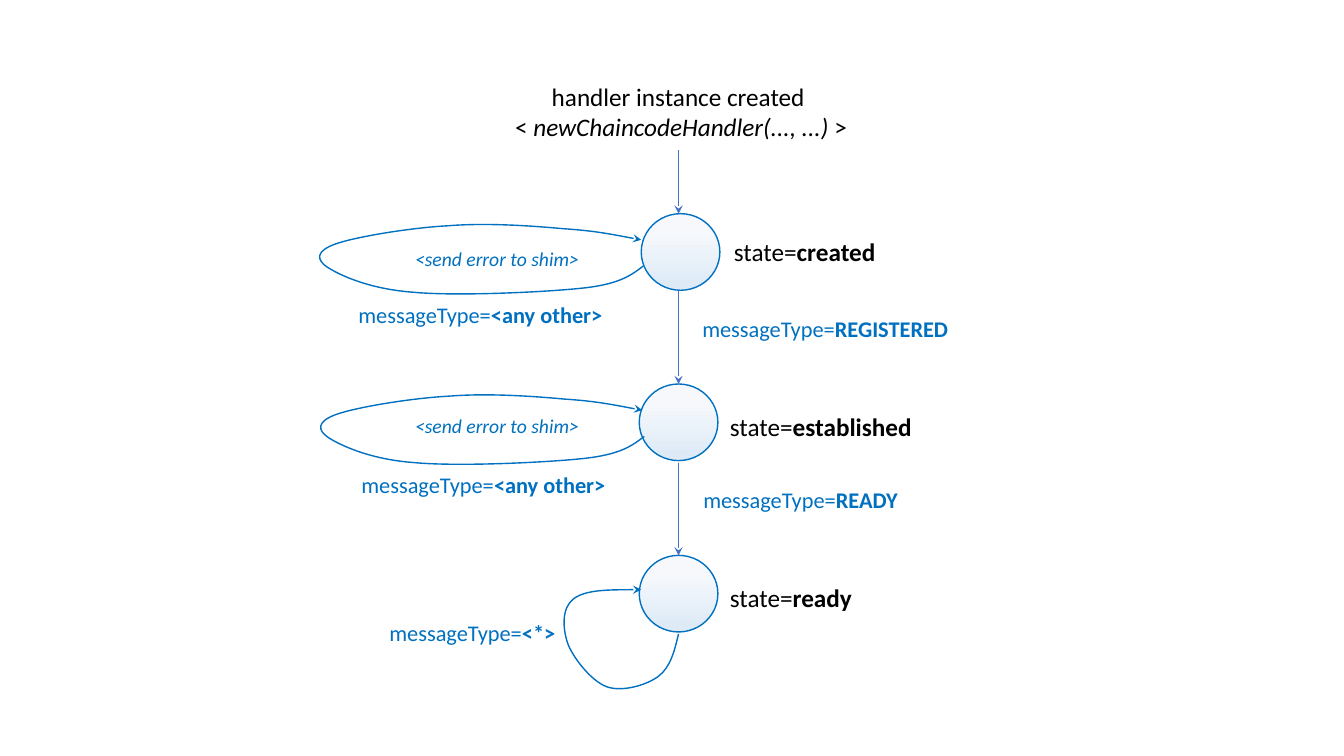
from lxml.etree import SubElement
from pptx import Presentation
from pptx.dml.color import RGBColor
from pptx.enum.shapes import MSO_CONNECTOR, MSO_SHAPE
from pptx.enum.text import MSO_AUTO_SIZE, PP_ALIGN
from pptx.oxml.ns import qn
from pptx.util import Inches, Pt

BLACK, BLUE, ARROW_BLUE = "000000", "0070C0", "4472C4"
AXIS_X = 6.73

# Each loop is a start point followed by Bezier triples (two controls, one end).
ERROR_LOOP = [
    (6.38, 2.64),
    (6.26, 2.73), (6.15, 2.82), (5.77, 2.86),
    (5.39, 2.90), (4.52, 2.94), (4.10, 2.90),
    (3.68, 2.87), (3.39, 2.74), (3.26, 2.66),
    (3.13, 2.58), (3.13, 2.49), (3.33, 2.42),
    (3.53, 2.35), (4.07, 2.26), (4.45, 2.24),
    (4.82, 2.21), (5.27, 2.24), (5.59, 2.27),
    (5.91, 2.29), (6.14, 2.34), (6.36, 2.38),
]
READY_LOOP = [
    (6.73, 6.29),
    (6.69, 6.46), (6.65, 6.62), (6.53, 6.71),
    (6.41, 6.80), (6.16, 6.87), (6.01, 6.81),
    (5.86, 6.75), (5.68, 6.52), (5.63, 6.38),
    (5.58, 6.23), (5.57, 6.03), (5.69, 5.94),
    (5.81, 5.85), (6.08, 5.85), (6.36, 5.85),
]


def color(hex_string):
    return RGBColor.from_string(hex_string)


class Diagram:
    """Holds the slide and the style of a state diagram."""

    font_name = "Calibri"

    def __init__(self, slide):
        self.slide = slide

    def text(self, left, top, width, height, paragraphs, size, hex_color, centered=True, wrap=True):
        """Add a text box; a paragraph is a list of (text, style) with style "", "b" or "i"."""
        box = self.slide.shapes.add_textbox(Inches(left), Inches(top), Inches(width), Inches(height))
        frame = box.text_frame
        frame.word_wrap = wrap
        frame.auto_size = MSO_AUTO_SIZE.SHAPE_TO_FIT_TEXT
        for index, pieces in enumerate(paragraphs):
            paragraph = frame.add_paragraph() if index else frame.paragraphs[0]
            paragraph.alignment = PP_ALIGN.CENTER if centered else PP_ALIGN.LEFT
            for content, style in pieces:
                run = paragraph.add_run()
                run.text = content
                run.font.name = self.font_name
                run.font.size = Pt(size)
                run.font.color.rgb = color(hex_color)
                run.font.bold = style == "b"
                run.font.italic = style == "i"

    def message(self, left, top, width, message_type):
        self.text(left, top, width, 0.37, [[("messageType=", ""), (message_type, "b")]], 16, BLUE)

    def state(self, left, top, label_left, label_top, label_width, name):
        circle = self.slide.shapes.add_shape(
            MSO_SHAPE.OVAL, Inches(left), Inches(top), Inches(0.78), Inches(0.76))
        circle.shadow.inherit = False
        circle.fill.gradient()
        circle.fill.gradient_angle = 270
        for stop, (position, hex_color) in zip(
                circle.fill.gradient_stops, [(0.24, "F6F8FC"), (0.92, "DEEBF7")]):
            stop.position = position
            stop.color.rgb = color(hex_color)
        circle.line.color.rgb = color(BLUE)
        circle.line.width = Pt(1)
        self.text(label_left, label_top, label_width, 0.4,
                  [[("state=", ""), (name, "b")]], 18, BLACK, centered=False, wrap=False)

    def arrow_line(self, line, hex_color, width):
        """Style a line and give its end a stealth arrowhead."""
        line.color.rgb = color(hex_color)
        line.width = Pt(width)
        SubElement(line._get_or_add_ln(), qn("a:tailEnd"), type="stealth")

    def down_arrow(self, top, bottom):
        connector = self.slide.shapes.add_connector(
            MSO_CONNECTOR.STRAIGHT, Inches(AXIS_X), Inches(top), Inches(AXIS_X), Inches(bottom))
        self.arrow_line(connector.line, ARROW_BLUE, 0.5)
        SubElement(connector._element.spPr, qn("a:effectLst"))

    def loop(self, points, shift_x=0, shift_y=0):
        """Add an open curve through Bezier triples, ending in an arrowhead."""
        start, *rest = [(Inches(x + shift_x), Inches(y + shift_y)) for x, y in points]
        builder = self.slide.shapes.build_freeform(*start)
        builder.add_line_segments(rest, close=False)
        curve = builder.convert_to_shape()
        curve.shadow.inherit = False
        curve.fill.background()
        self.arrow_line(curve.line, BLUE, 1)
        outline = next(curve._element.iter(qn("a:path")))
        segments = outline.findall(qn("a:lnTo"))
        for first in range(0, len(segments), 3):
            bezier = SubElement(outline, qn("a:cubicBezTo"))
            for segment in segments[first:first + 3]:
                bezier.append(segment[0])
                outline.remove(segment)


def main():
    presentation = Presentation()
    presentation.slide_width = Inches(13.33)
    presentation.slide_height = Inches(7.5)
    diagram = Diagram(presentation.slides.add_slide(presentation.slide_layouts[6]))

    diagram.text(4.93, 0.76, 3.65, 0.71, [
        [("handler instance created ", "")],
        [("< ", ""), ("newChaincodeHandler(..., ...)", "i"), (" >", "")],
    ], 18, BLACK, wrap=False)

    diagram.state(6.36, 2.12, 7.18, 2.3, 1.61, "created")
    diagram.state(6.34, 3.81, 7.14, 4.03, 2.02, "established")
    diagram.state(6.34, 5.51, 7.14, 5.73, 1.41, "ready")

    for top, bottom in [(1.49, 2.12), (2.88, 3.81), (4.59, 5.51)]:
        diagram.down_arrow(top, bottom)

    diagram.loop(ERROR_LOOP)
    diagram.loop(ERROR_LOOP, 0.01, 1.69)
    diagram.loop(READY_LOOP)

    for top in (2.4, 4.06):
        diagram.text(3.89, top, 2.08, 0.34, [[("<send error to shim>", "i")]], 14, BLUE)

    diagram.message(6.75, 3.08, 2.87, "REGISTERED")
    diagram.message(6.75, 4.77, 2.38, "READY")
    diagram.message(3.33, 2.94, 2.87, "<any other>")
    diagram.message(3.36, 4.63, 2.87, "<any other>")
    diagram.message(3.63, 6.09, 2.11, "<*>")

    presentation.save("out.pptx")


if __name__ == "__main__":
    main()
